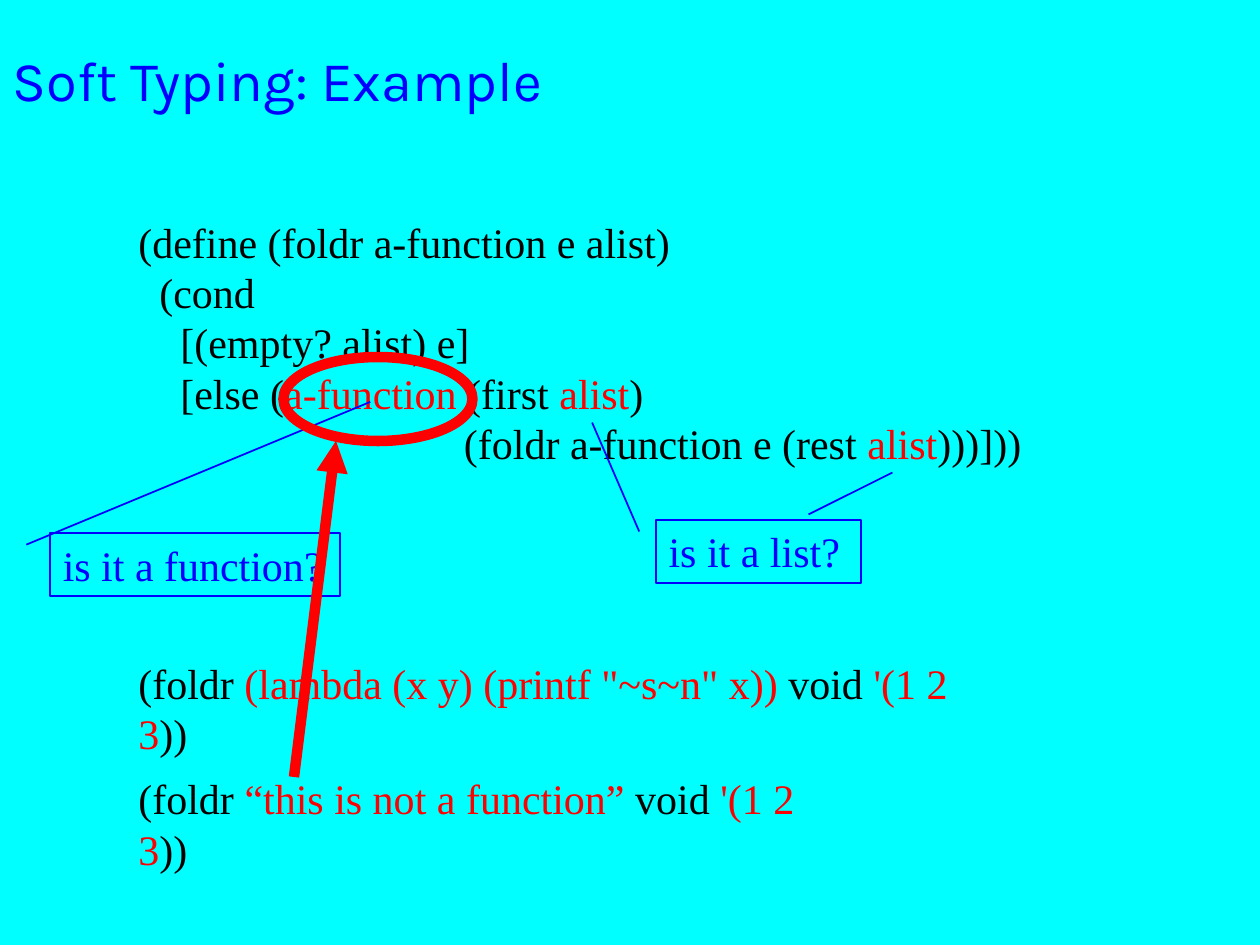
from lxml.etree import SubElement
from pptx import Presentation
from pptx.dml.color import RGBColor
from pptx.enum.shapes import MSO_CONNECTOR, MSO_SHAPE
from pptx.enum.text import MSO_ANCHOR, PP_ALIGN
from pptx.oxml.ns import qn
from pptx.util import Inches, Pt

WIDTH, HEIGHT = Inches(10), Inches(7.5)
COLUMN, ROW = WIDTH / 120, HEIGHT / 90
BLUE, RED, BLACK, CYAN = "0000FF", "FF0000", "000000", "00FFFF"
CODE_FONT = "Times New Roman"
CODE_SIZE = 24
SPACE_WIDTH = CODE_SIZE / 4
LINE_PITCH = 28.8

# Each code line is an indent in characters and its text; * switches red on and off.
DEFINITION = [
    (0, "(define (foldr a-function e alist)"),
    (2, "(cond"),
    (4, "[(empty? alist) e]"),
    (4, "[else (*a-function* (first *alist*)"),
    (31, "(foldr a-function e (rest *alist*)))]))"),
]
GOOD_CALL = [(0, "(foldr *(lambda (x y) (printf \"~s~n\" x))* void *'(1 2 3*))")]
BAD_CALL = [(0, "(foldr *“this is not a function”* void *'(1 2 3*))")]


def color(value):
    return RGBColor.from_string(value)


def grid(box):
    """Turn left, top, width, height in columns and rows into lengths."""
    return [round(share * unit) for share, unit in zip(box, (COLUMN, ROW) * 2)]


def add_run(paragraph, text, *, size=CODE_SIZE, font=CODE_FONT, fill=BLACK):
    run = paragraph.add_run()
    run.text = text
    run.font.size = Pt(size)
    run.font.name = font
    run.font.color.rgb = color(fill)


def set_line(shape, value, width):
    shape.line.color.rgb = color(value)
    shape.line.width = Pt(width)


def place_title(slide, box, text):
    title = slide.shapes.title
    title.left, title.top, title.width, title.height = grid(box)
    title.text_frame.vertical_anchor = MSO_ANCHOR.MIDDLE
    paragraph = title.text_frame.paragraphs[0]
    paragraph.alignment = PP_ALIGN.LEFT
    add_run(paragraph, text, size=32, font="Karla", fill=BLUE)


def add_code(shapes, box, lines):
    frame = shapes.add_textbox(*grid(box)).text_frame
    frame.word_wrap = False
    for number, (indent, text) in enumerate(lines):
        paragraph = frame.add_paragraph() if number else frame.paragraphs[0]
        paragraph.line_spacing = Pt(LINE_PITCH)
        properties = paragraph._p.get_or_add_pPr()
        properties.set("marL", str(Pt(indent * SPACE_WIDTH)))
        properties.set("indent", "0")
        for part, piece in enumerate(text.split("*")):
            add_run(paragraph, piece, fill=RED if part % 2 else BLACK)


def add_outline(shapes, kind, box, *, line, width):
    shape = shapes.add_shape(kind, *grid(box))
    shape.shadow.inherit = False
    shape.fill.background()
    set_line(shape, line, width)
    return shape


def add_callout(shapes, box, text, pointer):
    """Add a framed question whose pointer is given as shares of its box."""
    callout = add_outline(shapes, MSO_SHAPE.LINE_CALLOUT_1, box, line=BLUE, width=1)
    for number, share in enumerate(pointer):
        callout.adjustments[number] = share
    frame = callout.text_frame
    frame.word_wrap = True
    frame.vertical_anchor = MSO_ANCHOR.TOP
    paragraph = frame.paragraphs[0]
    paragraph.alignment = PP_ALIGN.LEFT
    paragraph.line_spacing = Pt(LINE_PITCH)
    add_run(paragraph, text, fill=BLUE)


def add_line(shapes, start, end, *, line, width, arrow=False):
    connector = shapes.add_connector(MSO_CONNECTOR.STRAIGHT, *grid(start + end))
    set_line(connector, line, width)
    if arrow:
        SubElement(connector.line._get_or_add_ln(), qn("a:tailEnd"), type="triangle")
    SubElement(connector._element.spPr, qn("a:effectLst"))


def add_list_check(slide, box):
    """Add the list question with a second line from its top edge."""
    left, top, width, _ = box
    shapes = slide.shapes.add_group_shape().shapes
    add_callout(shapes, box, "is it a list?", (0.188, -0.083, -1.543, -0.313))
    right = left + width
    add_line(shapes, (right + 3, top - 4.5), (right - 5, top - 0.5), line=BLUE, width=1)


def add_error_mark(slide, box):
    """Ring the failing call and point at it from the bad argument."""
    left, top, _, height = box
    shapes = slide.shapes.add_group_shape().shapes
    add_outline(shapes, MSO_SHAPE.OVAL, box, line=RED, width=6)
    bottom = top + height
    add_line(shapes, (left + 1, bottom + 32), (left + 5, bottom),
             line=RED, width=6, arrow=True)


def main():
    presentation = Presentation()
    presentation.slide_width, presentation.slide_height = WIDTH, HEIGHT
    slide = presentation.slides.add_slide(presentation.slide_layouts.get_by_name("Title Only"))
    slide.background.fill.solid()
    slide.background.fill.fore_color.rgb = color(CYAN)

    place_title(slide, (0, 0, 102, 15), "Soft Typing: Example")
    add_code(slide.shapes, (12, 20, 86.5, 25.2), DEFINITION)
    add_callout(slide.shapes, (4.8, 50.75, 27.6, 6), "is it a function?",
                (0.188, -0.083, -2.078, 1.104))
    add_list_check(slide, (62.5, 49.5, 19.5, 6))
    add_code(slide.shapes, (12, 62, 85, 6), GOOD_CALL)
    add_code(slide.shapes, (12, 73, 70.5, 6), BAD_CALL)
    add_error_mark(slide, (27, 34, 18, 8))
    presentation.save("out.pptx")


if __name__ == "__main__":
    main()
